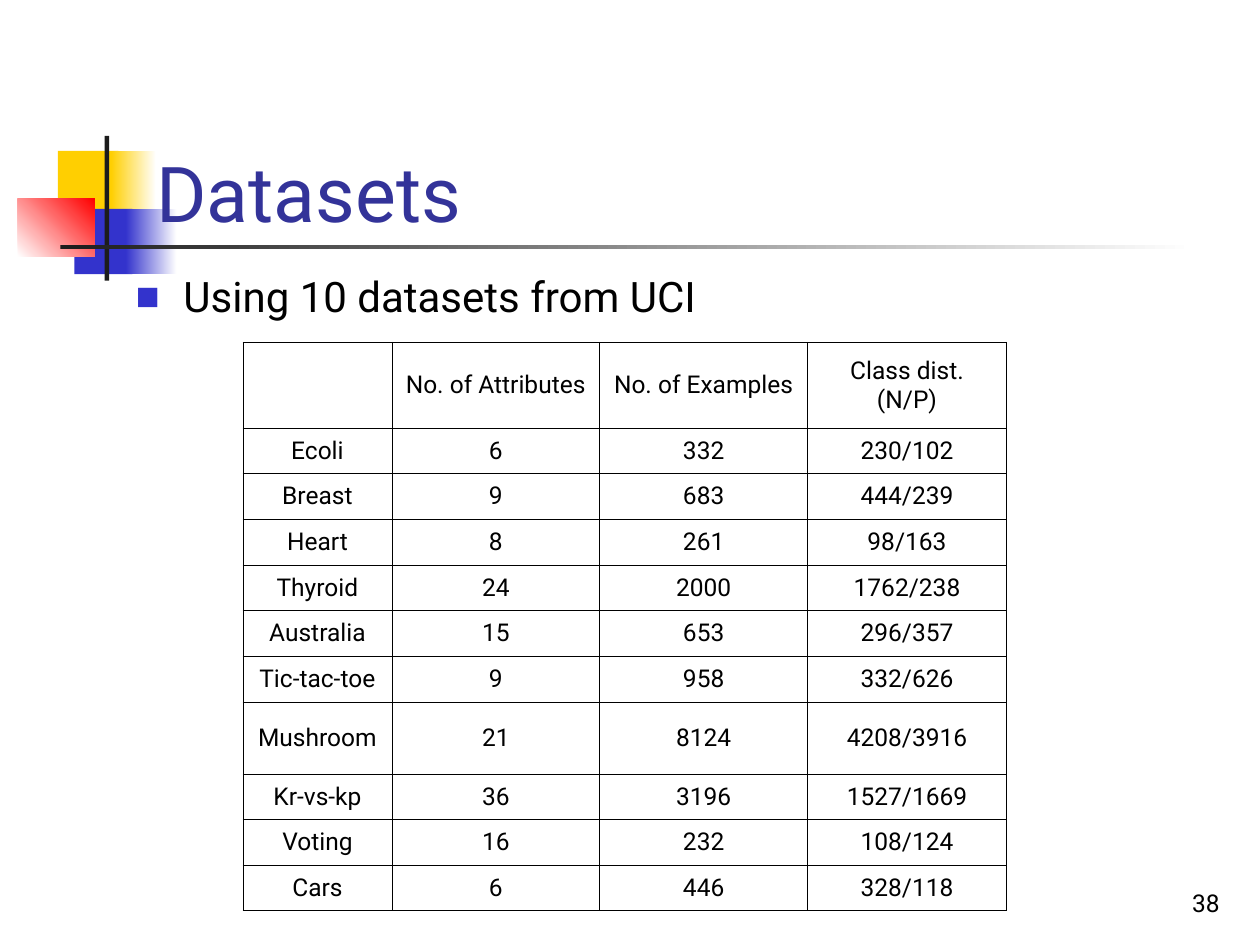
from lxml.etree import SubElement
from pptx import Presentation
from pptx.dml.color import RGBColor
from pptx.enum.shapes import MSO_SHAPE
from pptx.enum.text import MSO_ANCHOR, PP_ALIGN
from pptx.oxml import parse_xml
from pptx.oxml.ns import nsdecls, qn
from pptx.util import Cm, Pt

FONT = "Roboto"
BLACK = RGBColor(0x00, 0x00, 0x00)
WHITE = RGBColor(0xFF, 0xFF, 0xFF)
DARK = RGBColor(0x1C, 0x1C, 0x1C)
GOLD = RGBColor(0xFF, 0xCF, 0x01)
BLUE = RGBColor(0x33, 0x33, 0xCC)
RED = RGBColor(0xFF, 0x00, 0x00)
NAVY = RGBColor(0x33, 0x33, 0x99)

ROWS = [
    ("", "No. of Attributes", "No. of Examples", "Class dist. (N/P)"),
    ("Ecoli", "6", "332", "230/102"),
    ("Breast", "9", "683", "444/239"),
    ("Heart", "8", "261", "98/163"),
    ("Thyroid", "24", "2000", "1762/238"),
    ("Australia", "15", "653", "296/357"),
    ("Tic-tac-toe", "9", "958", "332/626"),
    ("Mushroom", "21", "8124", "4208/3916"),
    ("Kr-vs-kp", "36", "3196", "1527/1669"),
    ("Voting", "16", "232", "108/124"),
    ("Cars", "6", "446", "328/118"),
]
WIDTHS = [3, 4.19, 4.19, 4.01]
HEIGHTS = [1.73] + [0.92] * 6 + [1.45] + [0.92] * 3


def style(para, size, color, align=PP_ALIGN.LEFT):
    para.alignment = align
    for run in para.runs:
        run.font.name = FONT
        run.font.size = Pt(size)
        run.font.color.rgb = color


def add_text(slide, box, text, size, color, align=PP_ALIGN.LEFT, anchor=MSO_ANCHOR.TOP):
    frame = slide.shapes.add_textbox(*map(Cm, box)).text_frame
    frame.word_wrap = True
    frame.vertical_anchor = anchor
    frame.text = text
    para = frame.paragraphs[0]
    style(para, size, color, align)
    return para


def add_block(slide, box, start, end=None, angle=0):
    block = slide.shapes.add_shape(MSO_SHAPE.RECTANGLE, *map(Cm, box))
    block.shadow.inherit = False
    block.line.fill.background()
    if end is None:
        block.fill.solid()
        block.fill.fore_color.rgb = start
        return
    block.fill.gradient()
    block.fill.gradient_angle = angle
    for stop, color in zip(block.fill.gradient_stops, (start, end)):
        stop.color.rgb = color


def add_motif(slide, left, top):
    """Coloured squares with the crossing bars."""
    parts = [
        # x, y, width, height, colours, angle
        (0.81, 0.3, 1.22, 1.32, GOLD),
        (1.88, 0.3, 0.91, 1.32, GOLD, WHITE),
        (1.14, 1.47, 1.17, 1.32, BLUE),
        (2.18, 1.47, 1.02, 1.32, BLUE, WHITE),
        (0, 1.27, 1.55, 1.17, WHITE, RED, 45),
        (1.75, 0, 0.09, 2.92, DARK),
        (0.86, 2.2, 22.86, 0.09, DARK, WHITE),
    ]
    for x, y, wide, high, *paint in parts:
        add_block(slide, (left + x, top + y, wide, high), *paint)


def add_point(slide, box, text):
    """Body line with a square bullet."""
    para = add_text(slide, box, text, 24, BLACK)
    props = para._p.get_or_add_pPr()
    props.set("marL", str(Cm(0.96)))
    props.set("indent", str(Cm(-0.96)))
    tint = SubElement(props, qn("a:buClr"))
    SubElement(tint, qn("a:srgbClr"), val=str(BLUE))
    SubElement(props, qn("a:buSzPct"), val="60000")
    SubElement(props, qn("a:buFont"), typeface=FONT)
    SubElement(props, qn("a:buChar"), char="■")


def add_borders(cell):
    props = cell._tc.get_or_add_tcPr()
    for spot, side in enumerate("LRTB"):
        props.insert(spot, parse_xml(
            f'<a:ln{side} {nsdecls("a")} w="{Pt(0.45)}"><a:solidFill>'
            f'<a:srgbClr val="{BLACK}"/></a:solidFill></a:ln{side}>'))


def add_grid(slide, left, top):
    """Table of datasets."""
    box = (left, top, sum(WIDTHS), sum(HEIGHTS))
    table = slide.shapes.add_table(len(ROWS), len(WIDTHS), *map(Cm, box)).table
    table.first_row = table.horz_banding = False
    for col, wide in zip(table.columns, WIDTHS):
        col.width = Cm(wide)
    for row, high, texts in zip(table.rows, HEIGHTS, ROWS):
        row.height = Cm(high)
        for cell, text in zip(row.cells, texts):
            cell.text = text
            cell.vertical_anchor = MSO_ANCHOR.MIDDLE
            cell.fill.background()
            style(cell.text_frame.paragraphs[0], 14, BLACK, PP_ALIGN.CENTER)
            add_borders(cell)


def main():
    deck = Presentation()
    deck.slide_width, deck.slide_height = Cm(25.4), Cm(19.05)
    slide = deck.slides.add_slide(deck.slide_layouts[6])
    add_motif(slide, 0.36, 2.74)
    # Page number and title
    add_text(slide, (19.56, 17.35, 5.28, 1.27), "38", 14, BLACK,
             PP_ALIGN.RIGHT, MSO_ANCHOR.BOTTOM)
    add_text(slide, (2.9, 2.51, 19.4, 2.41), "Datasets", 44, NAVY,
             anchor=MSO_ANCHOR.BOTTOM)
    # Body
    add_point(slide, (2.49, 5.33, 21.2, 13.2), "Using 10 datasets from UCI")
    add_grid(slide, 4.9, 6.9)
    deck.save("out.pptx")


if __name__ == "__main__":
    main()
